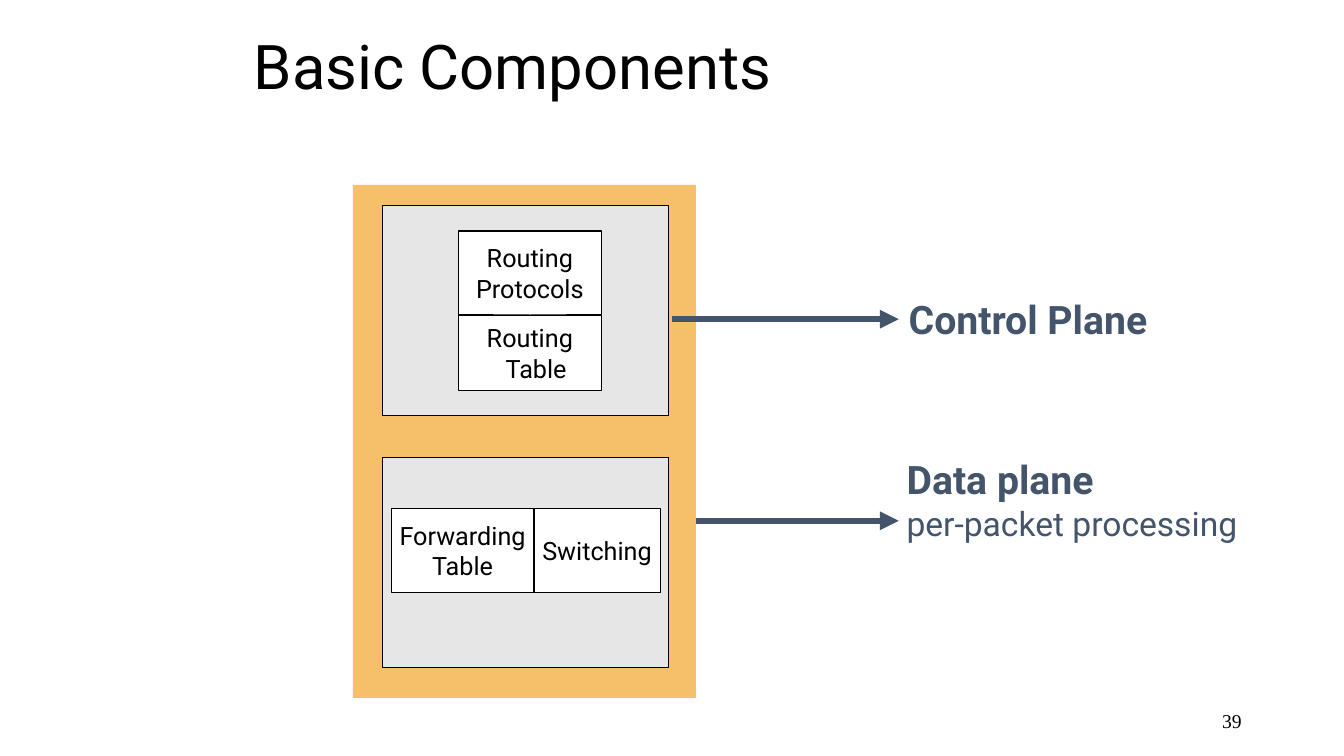
from dataclasses import dataclass

from lxml.etree import SubElement
from pptx import Presentation
from pptx.dml.color import RGBColor
from pptx.enum.shapes import MSO_CONNECTOR as Connector
from pptx.enum.shapes import MSO_SHAPE as Preset
from pptx.enum.text import MSO_ANCHOR as Anchor
from pptx.enum.text import PP_ALIGN as Align
from pptx.oxml.ns import qn
from pptx.slide import Slide
from pptx.text.text import _Paragraph as Paragraph
from pptx.util import Pt


@dataclass(frozen=True)
class Theme:
    black: str = "000000"
    white: str = "FFFFFF"
    frame: str = "F6BF69"
    panel: str = "E7E6E6"
    accent: str = "44546A"
    font: str = "Roboto"
    number_font: str = "Times New Roman"
    title_size: float = 44
    heading_size: float = 28
    detail_size: float = 24
    cell_size: float = 18
    number_size: float = 14
    outline: float = 0.75
    arrow: float = 4.5


THEME = Theme()


@dataclass(frozen=True)
class Area:
    left: float
    top: float
    width: float
    height: float

    def lengths(self) -> tuple[Pt, Pt, Pt, Pt]:
        return Pt(self.left), Pt(self.top), Pt(self.width), Pt(self.height)


@dataclass(frozen=True)
class Line:
    text: str
    size: float
    bold: bool = False
    color: str = THEME.black
    font: str = THEME.font
    align: Align = Align.LEFT
    indent: float = 0


@dataclass(frozen=True)
class Block:
    area: Area
    fill: str
    outlined: bool = True
    lines: tuple[Line, ...] = ()


@dataclass(frozen=True)
class Label:
    area: Area
    lines: tuple[Line, ...]
    anchor: Anchor = Anchor.TOP


@dataclass(frozen=True)
class Arrow:
    left: float
    right: float
    y: float


def cell_line(text: str, indent: float = 0) -> Line:
    return Line(text, THEME.cell_size, align=Align.CENTER, indent=indent)


def heading(text: str) -> Line:
    return Line(text, THEME.heading_size, bold=True, color=THEME.accent)


BLOCKS = (
    Block(Area(252, 132, 245, 366.5), THEME.frame, outlined=False),
    Block(Area(273.5, 147, 204, 150), THEME.panel),
    Block(Area(273.5, 327, 204, 150), THEME.panel),
    Block(Area(381.5, 363, 90, 60), THEME.white, lines=(cell_line("Switching"),)),
    Block(Area(279.5, 363, 102, 60), THEME.white,
          lines=(cell_line("Forwarding"), cell_line("Table"))),
    Block(Area(327.5, 225, 102, 54), THEME.white,
          lines=(cell_line("Routing"), cell_line("Table", indent=9))),
    Block(Area(327.5, 165, 102, 60), THEME.white,
          lines=(cell_line("Routing"), cell_line("Protocols"))),
)
LABELS = (
    Label(Area(642, 207.5, 198.5, 41), (heading("Control Plane"),)),
    Label(Area(640.5, 322, 252.5, 70.5), (
        heading("Data plane"),
        Line("per-packet processing", THEME.detail_size, color=THEME.accent),
    )),
    Label(Area(678, 500.5, 216, 29), (
        Line("39", THEME.number_size, font=THEME.number_font, align=Align.RIGHT),
    ), Anchor.MIDDLE),
)
DATA_ARROW = Arrow(480, 642, 372)
CONTROL_ARROW = Arrow(480, 642, 228)


def rgb(color: str) -> RGBColor:
    return RGBColor.from_string(color)


def write_line(para: Paragraph, line: Line) -> None:
    para.text = line.text
    para.alignment = line.align
    if line.indent:
        para._p.get_or_add_pPr().set("marL", str(Pt(line.indent)))
    para.font.name = line.font
    para.font.size = Pt(line.size)
    para.font.bold = line.bold
    para.font.color.rgb = rgb(line.color)


def write_lines(shape, lines: tuple[Line, ...], anchor: Anchor, wrap: bool) -> None:
    frame = shape.text_frame
    frame.word_wrap = wrap
    frame.vertical_anchor = anchor
    for index, line in enumerate(lines):
        para = frame.add_paragraph() if index else frame.paragraphs[0]
        write_line(para, line)


def add_block(page: Slide, block: Block) -> None:
    box = page.shapes.add_shape(Preset.RECTANGLE, *block.area.lengths())
    box.shadow.inherit = False
    box.fill.solid()
    box.fill.fore_color.rgb = rgb(block.fill)
    if block.outlined:
        box.line.color.rgb = rgb(THEME.black)
        box.line.width = Pt(THEME.outline)
    else:
        box.line.fill.background()
    write_lines(box, block.lines, Anchor.MIDDLE, wrap=False)


def add_label(page: Slide, label: Label) -> None:
    box = page.shapes.add_textbox(*label.area.lengths())
    write_lines(box, label.lines, label.anchor, wrap=True)


def add_arrow(page: Slide, arrow: Arrow) -> None:
    y = Pt(arrow.y)
    connector = page.shapes.add_connector(
        Connector.STRAIGHT, Pt(arrow.left), y, Pt(arrow.right), y)
    connector.line.color.rgb = rgb(THEME.accent)
    connector.line.width = Pt(THEME.arrow)
    SubElement(connector.line._get_or_add_ln(), qn("a:tailEnd"), type="triangle")
    SubElement(connector._element.spPr, qn("a:effectLst"))


def set_title(page: Slide) -> None:
    title = page.shapes.title
    title.left, title.top, title.width, title.height = Area(174, 4.5, 612, 90).lengths()
    line = Line("Basic Components", THEME.title_size)
    write_lines(title, (line,), Anchor.MIDDLE, wrap=True)
    title.text_frame.paragraphs[0].line_spacing = 0.9


def main() -> None:
    deck = Presentation()
    deck.slide_width, deck.slide_height = Pt(960), Pt(540)
    page = deck.slides.add_slide(deck.slide_layouts.get_by_name("Title Only"))
    set_title(page)
    add_arrow(page, DATA_ARROW)
    for label in LABELS:
        add_label(page, label)
    for block in BLOCKS:
        add_block(page, block)
    add_arrow(page, CONTROL_ARROW)
    deck.save("out.pptx")


if __name__ == "__main__":
    main()
